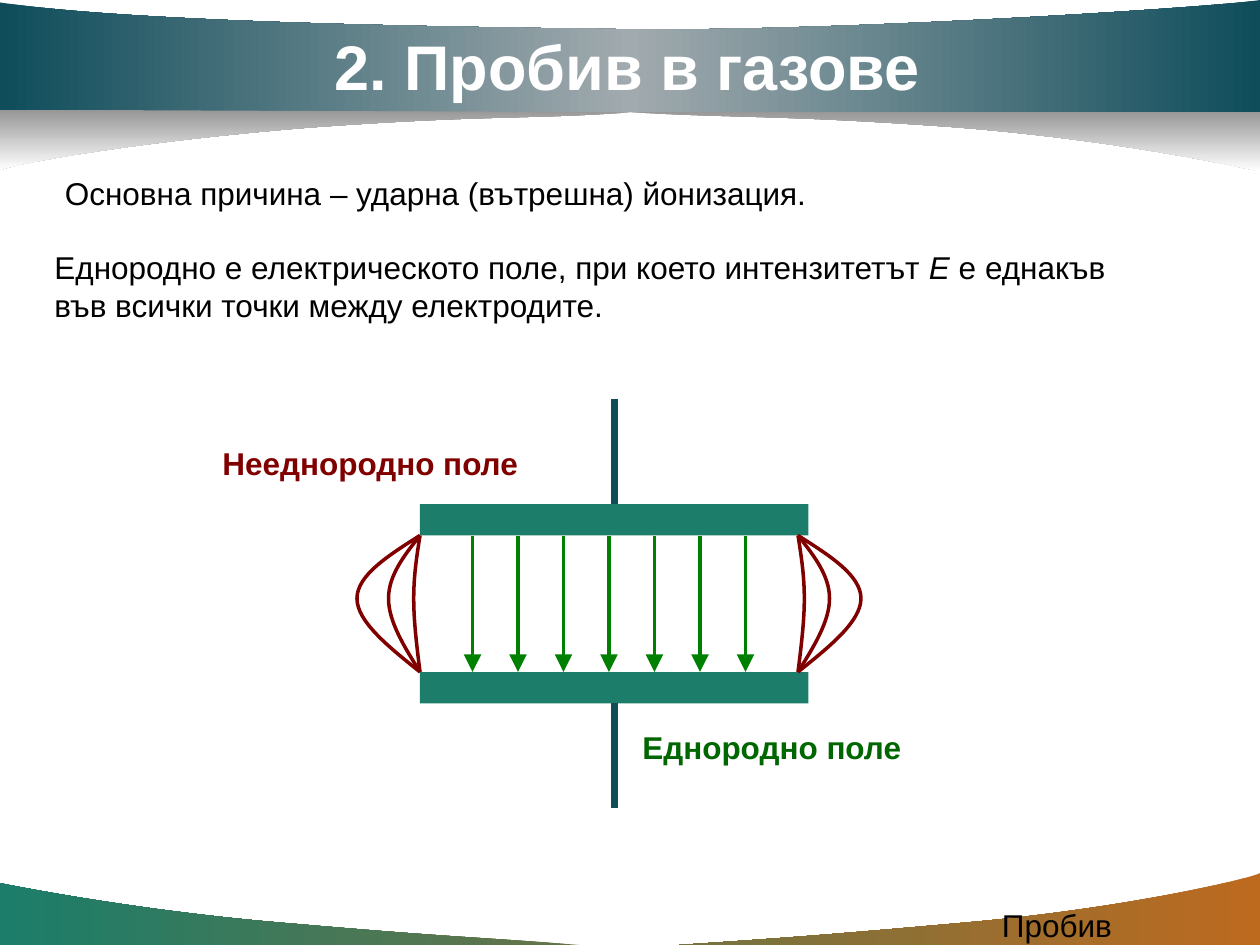
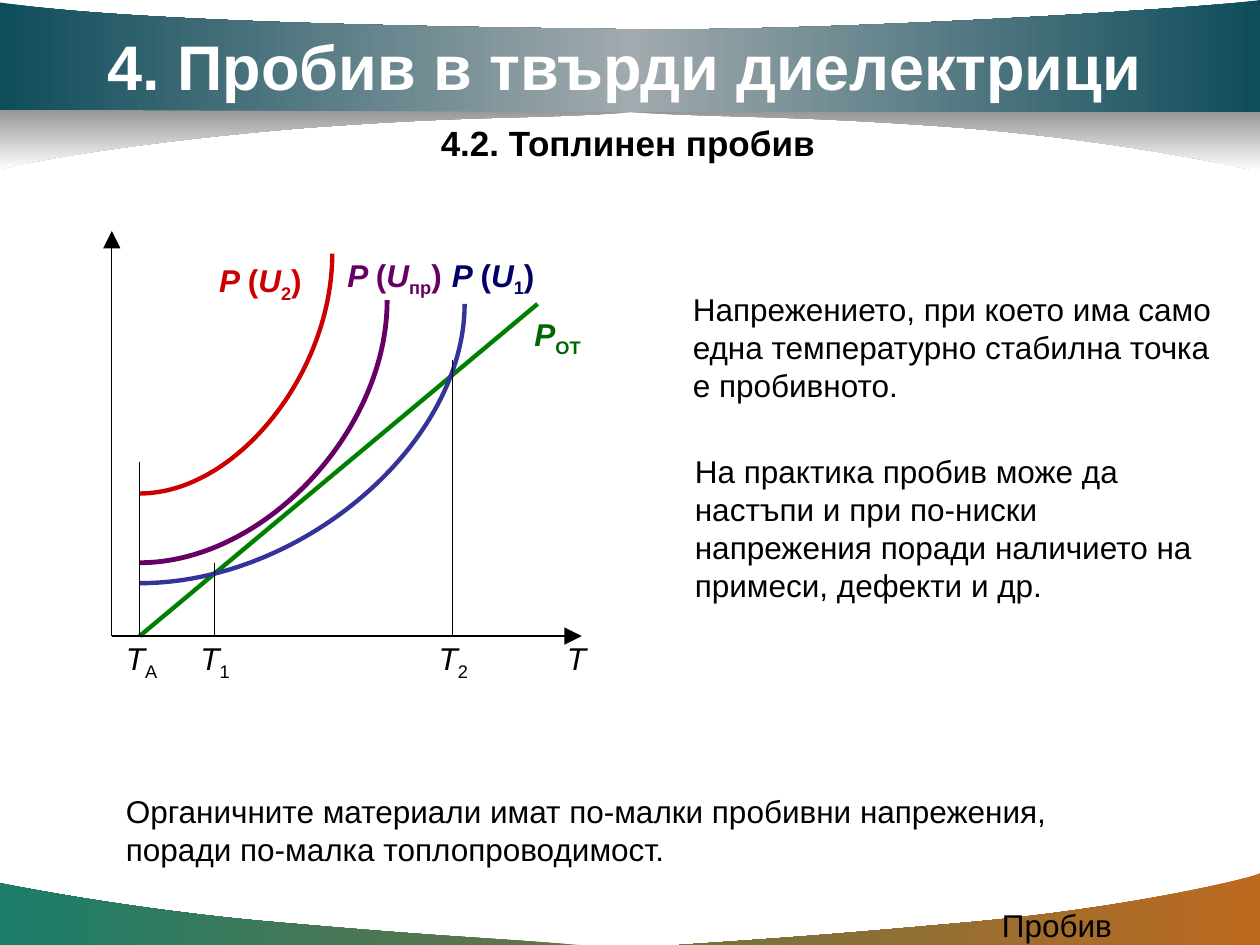
from dataclasses import dataclass

from lxml import etree
from pptx import Presentation
from pptx.dml.color import RGBColor
from pptx.enum.shapes import MSO_CONNECTOR, MSO_SHAPE
from pptx.oxml.ns import qn
from pptx.util import Inches, Pt

STRAIGHT = MSO_CONNECTOR.STRAIGHT
CURVE = MSO_CONNECTOR.CURVE
RECT = MSO_SHAPE.RECTANGLE

WIDE, HIGH = Inches(10), Inches(7.5)
COLS, ROWS = 120, 90
TOP, BOTTOM = 0, 2


@dataclass(frozen=True)
class Theme:
    font: str = "Arial"
    big: int = 36
    mid: int = 20
    base: int = 18
    ink: str = "000000"
    white: str = "FFFFFF"
    teal: str = "0F4D5B"
    plate: str = "1B7D6A"
    green: str = "008000"
    moss: str = "006600"
    wine: str = "800000"
    red: str = "CC0000"
    plum: str = "660066"
    blue: str = "333399"
    navy: str = "000066"
    band: tuple = ("0F4D5B", "A1AAAE", "0F4D5B")
    shade: tuple = ("969696", "FFFFFF")
    left: tuple = ("667448", "1B7D6A")
    right: tuple = ("BD6A1F", "727341")


T = Theme()
ACROSS, DOWN = 180, 270

DECOR = [
    (T.left, ACROSS, (55.2, 90), [
        (46.08, 89.28, 42.96, 89.28, 27.84, 87.96),
        (12.72, 86.76, 0.12, 84.12, 0, 84.12), (0, 90)]),
    (T.right, ACROSS, (64.68, 90), [
        (73.68, 89.4, 77.52, 89.16, 92.28, 87.84),
        (107.04, 86.52, 118.8, 83.76, 120, 83.16), (120, 90)]),
    (T.shade, DOWN, (60, 10.68), [
        (70.08, 11.28, 74.4, 10.92, 90.96, 12.12),
        (107.76, 13.44, 119.76, 16.32, 120, 16.32), (120, 10.56)]),
    (T.band, ACROSS, (0, 10.68), [
        (120, 10.68), (120, 0),
        (115.68, 0.72, 78.36, 3.12, 58.44, 2.76),
        (38.52, 2.52, 12.12, 2.04, 0, 0.24)]),
    (T.shade, DOWN, (60, 10.7), [
        (49.92, 11.4, 46.56, 10.92, 29.88, 12.12),
        (13.2, 13.44, 1.32, 15.6, 0, 16.2), (0, 10.44)]),
]


def rgb(tone):
    return RGBColor.from_string(tone)


def write(par, text, size=T.base, tone=T.ink, bold=False, italic=False, sub=False):
    run = par.add_run()
    run.text = text
    font = run.font
    font.name, font.size = T.font, Pt(size)
    font.bold, font.italic = bold, italic
    font.color.rgb = rgb(tone)
    if sub:
        run._r.get_or_add_rPr().set("baseline", "-25000")


class Deck:
    def __init__(self):
        self.show = Presentation()
        self.show.slide_width, self.show.slide_height = WIDE, HIGH
        self.slide = None

    def x(self, cols):
        return round(WIDE * cols / COLS)

    def y(self, rows):
        return round(HIGH * rows / ROWS)

    def page(self, title, left, width):
        self.slide = self.show.slides.add_slide(self.show.slide_layouts[6])
        for tones, turn, start, parts in DECOR:
            self.blend(self.free(start, parts, True), tones, turn)
        self.text(94.25, 85.65, 25, 3, "Пробив")
        self.text(left, 2, width, 8.4, title, size=T.big, tone=T.white, bold=True)

    def text(self, col, row, width, height, words, **form):
        box = self.slide.shapes.add_textbox(
            self.x(col), self.y(row), self.x(width), self.y(height))
        box.text_frame.word_wrap = True
        par = box.text_frame.paragraphs[0]
        runs = [(words, "")] if isinstance(words, str) else words
        for word, mode in runs:
            write(par, word, italic=mode == "i", sub=mode == "s", **form)

    def free(self, start, parts, close):
        pen = self.slide.shapes.build_freeform(
            self.x(start[0]), self.y(start[1]), scale=1.0)
        pen.add_line_segments(
            [(self.x(part[-2]), self.y(part[-1])) for part in parts], close=close)
        shape = pen.convert_to_shape()
        for edge, part in zip(list(shape._element.iter(qn("a:lnTo"))), parts):
            if len(part) == 6:
                self.bend(shape, edge, part)
        shape.shadow.inherit = False
        shape.line.fill.background()
        return shape

    def bend(self, shape, edge, part):
        curve = etree.Element(qn("a:cubicBezTo"))
        for col, row in zip(part[::2], part[1::2]):
            etree.SubElement(curve, qn("a:pt"), x=str(self.x(col) - shape.left),
                             y=str(self.y(row) - shape.top))
        edge.getparent().replace(edge, curve)

    def blend(self, shape, tones, turn):
        shape.fill.gradient()
        shape.fill.gradient_angle = turn
        stops = shape._element.spPr.find(qn("a:gradFill")).find(qn("a:gsLst"))
        for stop in list(stops):
            stops.remove(stop)
        for rank, tone in enumerate(tones):
            share = 100000 * rank // (len(tones) - 1)
            stop = etree.SubElement(stops, qn("a:gs"), pos=str(share))
            etree.SubElement(stop, qn("a:srgbClr"), val=tone)

    def bow(self, start, parts, tone, weight):
        shape = self.free(start, parts, False)
        shape.fill.background()
        shape.line.color.rgb = rgb(tone)
        shape.line.width = Pt(weight)

    def rect(self, col, row, width, height, tone):
        shape = self.slide.shapes.add_shape(
            RECT, self.x(col), self.y(row), self.x(width), self.y(height))
        shape.shadow.inherit = False
        shape.fill.solid()
        shape.fill.fore_color.rgb = rgb(tone)
        shape.line.fill.background()
        return shape

    def line(self, start, end, tone=T.ink, weight=0.75, arrow=False, kind=STRAIGHT):
        link = self.slide.shapes.add_connector(
            kind, self.x(start[0]), self.y(start[1]), self.x(end[0]), self.y(end[1]))
        link.line.color.rgb = rgb(tone)
        link.line.width = Pt(weight)
        props = link._element.spPr
        if arrow:
            etree.SubElement(props.find(qn("a:ln")), qn("a:tailEnd"),
                             type="triangle", w="lg", len="lg")
        if kind == CURVE:
            props.find(qn("a:prstGeom")).set("prst", "curvedConnector2")
        etree.SubElement(props, qn("a:effectLst"))
        return link


def gas(deck):
    deck.page("2. Пробив в газове", 30.7, 58.6)
    deck.text(4, 23.05, 106, 8.4, [
        ("Еднородно е електрическото поле, при което интензитетът ", ""),
        ("Е", "i"),
        (" е еднакъв във всички точки между електродите.", "")])
    deck.text(5, 16, 73.4, 4.8, "Основна причина – ударна (вътрешна) йонизация.")

    for row, side, far in ((48, TOP, 38), (64, BOTTOM, 77)):
        plate = deck.rect(40, row, 37, 3, T.plate)
        wire = deck.line((58.5, row), (58.5, far), T.teal, 4)
        wire.begin_connect(plate, side)

    count, first, last = 7, 45, 71
    for rank in range(count):
        col = first + (last - first) * rank / (count - 1)
        deck.line((col, 51), (col, 64), T.green, 2, arrow=True)
    deck.text(60, 68.7, 27.4, 4.8, "Еднородно поле", tone=T.moss, bold=True)

    for col, way in ((40, -1), (76, 1)):
        for bulge in (3, 6, 0.6):
            near, far = col + way * bulge / 2, col + way * bulge
            deck.bow((col, 51), [(near, 52.9, far, 54.8, far, 57),
                                 (far, 59.2, near, 61.6, col, 64)], T.wine, 2)
    deck.text(20, 41.7, 31, 4.8, "Нееднородно поле", tone=T.wine, bold=True)


def solid(deck):
    deck.page("4. Пробив в твърди диелектрици", 9.05, 101.4)
    deck.text(40.8, 11, 38.4, 5.2, "4.2. Топлинен пробив", size=T.mid, bold=True)

    root, base, start = 10.65, 60.58, 13.3
    deck.line((start, base), (51.2, 28.95), T.green, 2.5)
    deck.text(49.72, 29.4, 10, 4.8, [("P", "i"), ("ОТ", "s")], tone=T.moss, bold=True)

    curves = [
        (47, (31.65, 24.15), T.red, 2.5, "2", (19.7, 24.27), T.red),
        (53.6, (36.87, 28.6), T.plum, 2.75, "пр", (31.9, 23.75), T.plum),
        (55.55, (44.25, 28.95), T.blue, 2.5, "1", (41.87, 23.75), T.navy),
    ]
    for row, end, tone, weight, mark, spot, ink in curves:
        deck.line((start, row), end, tone, weight, kind=CURVE)
        deck.text(*spot, 12, 4.8, [("P ", "i"), ("(", ""), ("U", "i"),
                                   (mark, "s"), (")", "")], tone=ink, bold=True)

    for end in ((55.4, base), (root, 22)):
        deck.line((root, base), end, arrow=True)
    for col, row in ((start, 44), (20.4, 53.6), (43.1, 34.3)):
        deck.line((col, row), (col, base))
    for col, mark in ((10.82, "А"), (17.9, "1"), (40.6, "2")):
        deck.text(col, 60.27, 5.8, 4.8, [("T", "i"), (mark, "s")])
    deck.text(52.8, 60.27, 4.5, 4.8, [("T", "i")])

    deck.text(64.8, 27.05, 52.2, 12, "Напрежението, при което има само една "
              "температурно стабилна точка е пробивното.")
    deck.text(65, 42.5, 52.2, 15.6, "На практика пробив може да настъпи и при "
              "по-ниски напрежения поради наличието на примеси, дефекти и др.")
    deck.text(10.82, 74.85, 92.2, 8.4, "Органичните материали имат по-малки пробивни "
              "напрежения, поради по-малка топлопроводимост.")


def main():
    deck = Deck()
    gas(deck)
    solid(deck)
    deck.show.save("out.pptx")


if __name__ == "__main__":
    main()
